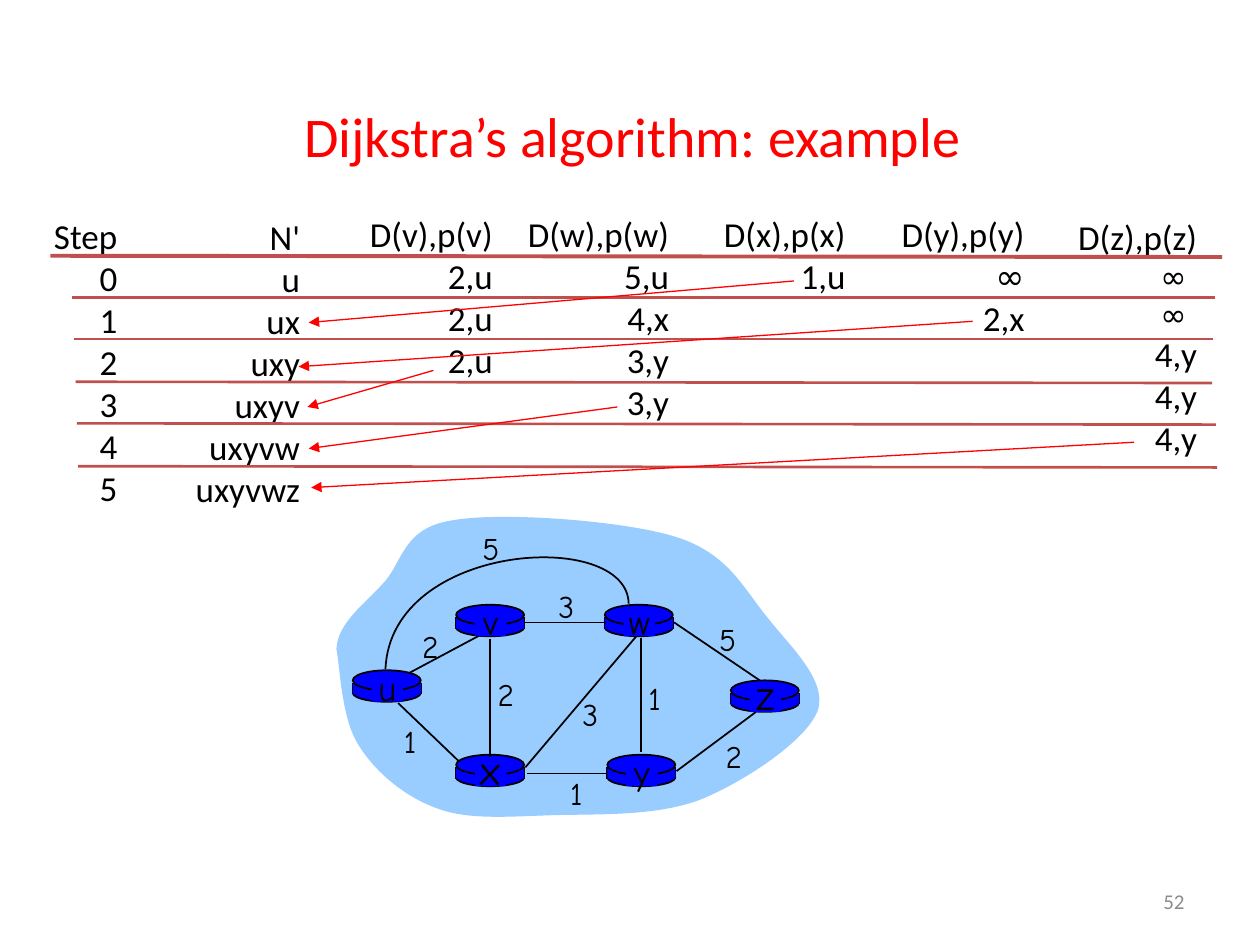
from lxml.etree import SubElement
from pptx import Presentation
from pptx.dml.color import RGBColor
from pptx.enum.shapes import MSO_CONNECTOR, MSO_SHAPE
from pptx.enum.text import MSO_ANCHOR as ANCHOR, MSO_AUTO_SIZE as FIT, PP_ALIGN as ALIGN
from pptx.oxml.ns import qn
from pptx.util import Inches, Pt

COLORS = {"black": "000000", "red": "FF0000", "rule": "C0504D", "cloud": "99CCFF",
          "router": "0000FF", "number": "8C8C8C"}
BODY, COMIC = "Calibri", "Comic Neue"


def color(name):
    return RGBColor.from_string(COLORS[name])


class Deck:
    def __init__(self):
        self.prs = Presentation()
        self.prs.slide_width, self.prs.slide_height = Inches(10), Inches(7.5)
        self.slide = self.prs.slides.add_slide(self.prs.slide_layouts[6])
        self.shapes = self.slide.shapes

    def text(self, x, y, w, h, lines, align=ALIGN.CENTER, wrap=False, anchor=ANCHOR.TOP,
             ink="black", **font):
        """Each line is a string or a (string, font overrides) pair."""
        tf = self.shapes.add_textbox(*map(Inches, (x, y, w, h))).text_frame
        frame = {"word_wrap": wrap, "vertical_anchor": anchor,
                 "auto_size": FIT.NONE if wrap else FIT.SHAPE_TO_FIT_TEXT}
        for key, value in frame.items():
            setattr(tf, key, value)
        for i, line in enumerate(lines):
            words, extra = line if isinstance(line, tuple) else (line, {})
            p = tf.add_paragraph() if i else tf.paragraphs[0]
            p.alignment = align
            r = p.add_run()
            r.text = words
            for key, value in {**font, **extra}.items():
                setattr(r.font, key, value)
            r.font.color.rgb = color(ink)

    def paint(self, sp, fill=None, line=None):
        sp.shadow.inherit = False
        if fill:
            sp.fill.solid()
            sp.fill.fore_color.rgb = color(fill)
        else:
            sp.fill.background()
        if line:
            sp.line.color.rgb, sp.line.width = color(line), Pt(1)
        else:
            sp.line.fill.background()

    def shape(self, kind, x, y, w, h, fill, line=None):
        sp = self.shapes.add_shape(kind, *map(Inches, (x, y, w, h)))
        self.paint(sp, fill, line)

    def curve(self, box, start, curves, closed=False, **style):
        """Freeform made of cubic curves, filling the given box."""
        x, y, w, h = map(Inches, box)
        fb = self.shapes.build_freeform(x, y)
        fb.add_line_segments([(x + w, y + h)], close=closed)
        sp = fb.convert_to_shape()
        outline = next(sp._element.iter(qn("a:path")))
        for child in list(outline):
            outline.remove(child)
        steps = [("a:moveTo", start)] + [("a:cubicBezTo", c) for c in curves]
        for tag, values in steps:
            step = SubElement(outline, qn(tag))
            for px, py in zip(values[::2], values[1::2]):
                SubElement(step, qn("a:pt"), x=str(Inches(px) - x), y=str(Inches(py) - y))
        if closed:
            SubElement(outline, qn("a:close"))
        self.paint(sp, **style)

    def line(self, x1, y1, x2, y2, ink="black", width=1, arrow=False):
        c = self.shapes.add_connector(MSO_CONNECTOR.STRAIGHT, *map(Inches, (x1, y1, x2, y2)))
        c.line.color.rgb, c.line.width = color(ink), Pt(width)
        spPr = c._element.spPr
        if arrow:
            SubElement(spPr.find(qn("a:ln")), qn("a:tailEnd"), type="triangle")
        SubElement(spPr, qn("a:effectLst"))

    def router(self, x, y):
        w = 0.54
        self.shape(MSO_SHAPE.OVAL, x, y + 0.11, w, 0.14, "router", "black")
        for side in (x, x + w):
            self.line(side, y + 0.1, side, y + 0.19)
        self.shape(MSO_SHAPE.RECTANGLE, x, y + 0.1, w, 0.09, "router")
        self.shape(MSO_SHAPE.OVAL, x, y, w, 0.16, "router", "black")

    def router_name(self, x, y, name, size):
        self.shape(MSO_SHAPE.RECTANGLE, x + 0.15, y + 0.02, 0.25, 0.23, "router")
        top, h = (0.14, 0.5) if size == 24 else (0.08, 0.43)
        self.text(x + 0.09, y - top, 0.37, h, [name], name=COMIC, size=Pt(size))


def main():
    deck = Deck()

    # Title and slide number
    deck.text(0.52, 0.76, 9, 1.25, ["Dijkstra’s algorithm: example"], wrap=True,
              ink="red", name=BODY, size=Pt(32))
    deck.text(7.17, 6.95, 2.33, 0.4, ["52"], align=ALIGN.RIGHT, wrap=True,
              anchor=ANCHOR.MIDDLE, ink="number", name=BODY, size=Pt(12))

    # Step columns
    far = ("∞", {"name": COMIC})
    far_small = ("∞ ", {"name": COMIC, "size": Pt(18)})
    columns = [
        (0.26, 1.65, 0.77, 2.43, ["Step", "0", "1", "2", "3", "4", "5"]),
        (1.37, 1.66, 1.11, 2.43, ["N'", "u", "ux", "uxy", "uxyv", "uxyvw", "uxyvwz"]),
        (2.73, 1.64, 1.28, 1.43, ["D(v),p(v)", "2,u", "2,u", "2,u"]),
        (4.01, 1.64, 1.4, 1.77, ["D(w),p(w)", "5,u", "4,x", "3,y", "3,y"]),
        (5.53, 1.64, 1.28, 0.77, ["D(x),p(x)", "1,u"]),
        (6.95, 1.64, 1.28, 1.1, ["D(y),p(y)", far, "2,x"]),
        (8.32, 1.66, 1.28, 2.03, ["D(z),p(z)", far_small, far_small, "4,y", "4,y", "4,y"]),
    ]
    for *box, lines in columns:
        deck.text(*box, lines, align=ALIGN.RIGHT, name=BODY, size=Pt(20))

    # Row rules
    deck.line(0.4, 2.03, 9.7, 2.04, "rule", 2.25)
    for rule in [(0.57, 2.36, 9.64, 2.36), (0.59, 2.69, 9.63, 2.69), (0.6, 3.03, 9.62, 3.04),
                 (0.61, 3.36, 9.65, 3.37), (0.62, 3.7, 9.66, 3.71)]:
        deck.line(*rule, "rule", 1.5)

    # Network cloud
    deck.curve((2.67, 4.06, 3.91, 2.45), (2.67, 5.15), [
        (2.68, 4.94, 2.9, 4.79, 3.05, 4.62), (3.2, 4.45, 3.2, 4.19, 3.59, 4.13),
        (3.97, 4.06, 4.94, 4.13, 5.36, 4.26), (5.78, 4.39, 5.9, 4.67, 6.09, 4.9),
        (6.27, 5.13, 6.57, 5.4, 6.49, 5.64), (6.4, 5.88, 5.9, 6.21, 5.55, 6.35),
        (5.2, 6.48, 4.74, 6.46, 4.39, 6.47), (4.05, 6.48, 3.73, 6.51, 3.48, 6.42),
        (3.22, 6.33, 2.98, 6.13, 2.85, 5.92), (2.71, 5.71, 2.7, 5.31, 2.67, 5.15),
    ], closed=True, fill="cloud")

    # Routers, with the u-v link behind them
    routers = [("u", 2.8, 5.32, 20), ("y", 4.82, 5.99, 20), ("x", 3.62, 5.99, 24),
               ("w", 4.8, 4.8, 20), ("v", 3.62, 4.8, 20), ("z", 5.8, 5.4, 24)]
    deck.line(3.25, 5.34, 3.85, 5.02)
    for _, x, y, _ in routers:
        deck.router(x, y)

    # Links
    for link in [(5.09, 5.06, 5.09, 5.97), (3.89, 5.07, 3.89, 6.01), (4.17, 6.09, 5.05, 5.05),
                 (5.37, 6.12, 6, 5.65), (4.82, 6.14, 4.18, 6.14), (3.64, 6.04, 3.16, 5.58),
                 (4.81, 4.94, 4.17, 4.94), (6.03, 5.4, 5.35, 4.94)]:
        deck.line(*link)
    deck.curve((3.06, 4.19, 1.93, 1.12), (4.99, 4.79),
               [(4.98, 4.19, 3.1, 4.3, 3.06, 5.31)], line="black")

    # Router names and link costs
    for name, x, y, size in routers:
        deck.router_name(x, y, name, size)
    for cost, x, y in [("2", 3.24, 4.93), ("2", 3.84, 5.31), ("1", 3.08, 5.68),
                       ("3", 4.51, 5.47), ("1", 4.4, 6.09), ("1", 5.02, 5.34),
                       ("2", 5.65, 5.8), ("5", 5.6, 4.87), ("3", 4.32, 4.61),
                       ("5", 3.72, 4.15)]:
        deck.text(x, y, 0.35, 0.4, [cost], name=COMIC, size=Pt(18))

    # Arrows from the chosen distance to the grown set
    for arrow in [(6.3, 2.23, 2.45, 2.56), (7.72, 2.55, 2.37, 2.91), (3.44, 2.94, 2.44, 3.23),
                  (4.9, 3.23, 2.45, 3.56), (9, 3.51, 2.47, 3.87)]:
        deck.line(*arrow, "red", 0.75, arrow=True)

    deck.prs.save("out.pptx")


if __name__ == "__main__":
    main()
